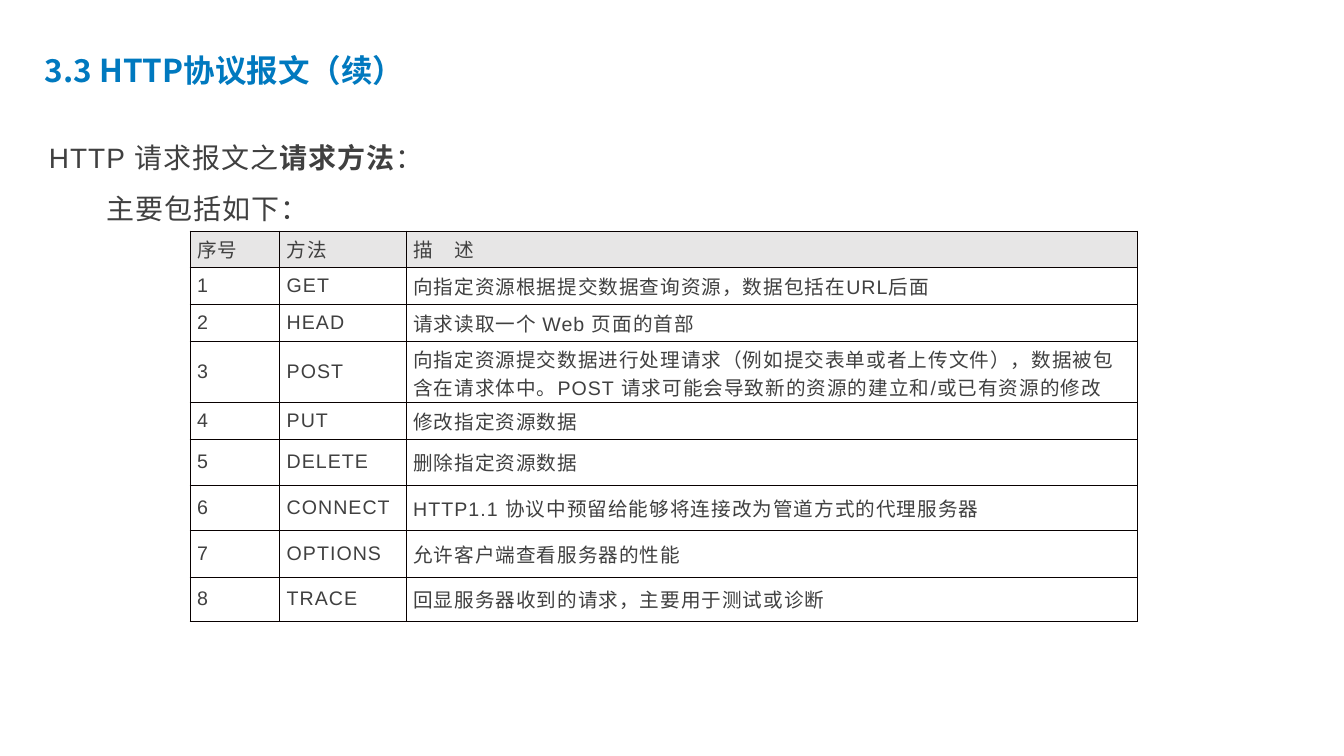
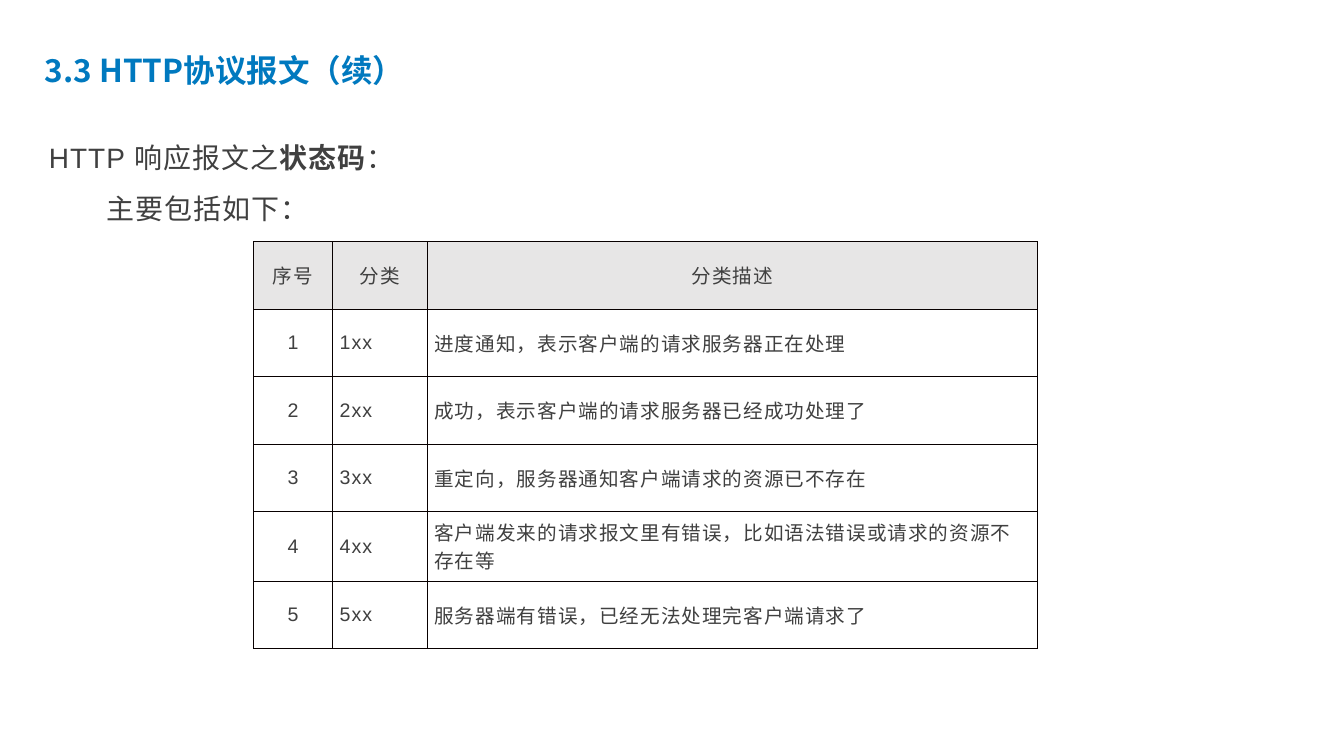
from lxml import etree
from pptx import Presentation
from pptx import util as u
from pptx.dml.color import RGBColor
from pptx.enum import text
from pptx.oxml import ns

# Shared look; lengths are px, 100 px to the inch
PX = 9144
SLIDE_SIZE = (2667, 1500)
COLORS = {
    "title": "0079BF",
    "body": "404040",
    "header": "E7E6E6",
    "cell": "FFFFFF",
    "border": "080000",
}
LATIN, CJK = "Arial", "Noto Sans CJK SC"
TITLE_BOX = (81, 81, 856, 105)
LEAD_BOX = (89, 238, 2039, 217)
LEAD_INDENT = 115
TEXT_INSETS = (8, 8, 8, 8)
LEFT, CENTER = text.PP_ALIGN.LEFT, text.PP_ALIGN.CENTER

# Content
TITLE = "3.3 HTTP协议报文（续）"
LEAD_END = "主要包括如下："
SLIDES = [
    {
        "lead": ("HTTP 请求报文之", "请求方法", "："),
        "origin": (377, 458),
        "columns": (178, 251, 1451),
        "row_heights": (73, 73, 73, 121, 73, 91, 91, 92, 87),
        "insets": (14, 7, 14, 7),
        "header_align": LEFT,
        "number_align": LEFT,
        "header": ("序号", "方法", "描　述"),
        "entries": [
            ("GET", "向指定资源根据提交数据查询资源，数据包括在URL后面"),
            ("HEAD", "请求读取一个 Web 页面的首部"),
            ("POST", "向指定资源提交数据进行处理请求（例如提交表单或者上传文件），"
                     "数据被包含在请求体中。POST 请求可能会导致新的资源的建立和/或已有资源的修改"),
            ("PUT", "修改指定资源数据"),
            ("DELETE", "删除指定资源数据"),
            ("CONNECT", "HTTP1.1 协议中预留给能够将连接改为管道方式的代理服务器"),
            ("OPTIONS", "允许客户端查看服务器的性能"),
            ("TRACE", "回显服务器收到的请求，主要用于测试或诊断"),
        ],
    },
    {
        "lead": ("HTTP 响应报文之", "状态码", "："),
        "origin": (503, 479),
        "columns": (157, 188, 1210),
        "row_heights": (134, 134, 134, 134, 138, 134),
        "insets": (14, 6, 14, 6),
        "header_align": CENTER,
        "number_align": CENTER,
        "header": ("序号", "分类", "分类描述"),
        "entries": [
            ("1xx", "进度通知，表示客户端的请求服务器正在处理"),
            ("2xx", "成功，表示客户端的请求服务器已经成功处理了"),
            ("3xx", "重定向，服务器通知客户端请求的资源已不存在"),
            ("4xx", "客户端发来的请求报文里有错误，比如语法错误或请求的资源不存在等"),
            ("5xx", "服务器端有错误，已经无法处理完客户端请求了"),
        ],
    },
]


def px(*lengths):
    return [u.Emu(length * PX) for length in lengths]


def set_insets(holder, insets):
    (holder.margin_left, holder.margin_top,
     holder.margin_right, holder.margin_bottom) = px(*insets)


def style_run(run, size, color, latin=LATIN, bold=False, spacing=0):
    font = run.font
    font.size, font.name, font.bold = u.Pt(size), latin, bold
    font.color.rgb = RGBColor.from_string(COLORS[color])
    properties = run._r.get_or_add_rPr()
    properties.set("spc", str(round(spacing * 100)))
    east_asian = etree.Element(ns.qn("a:ea"), typeface=CJK)
    properties.find(ns.qn("a:latin")).addnext(east_asian)


def add_title(slide):
    title = slide.shapes.title
    title.left, title.top, title.width, title.height = px(*TITLE_BOX)
    frame = title.text_frame
    frame.text = TITLE
    frame.auto_size = text.MSO_AUTO_SIZE.NONE
    frame.vertical_anchor = text.MSO_ANCHOR.BOTTOM
    set_insets(frame, TEXT_INSETS)
    heading = frame.paragraphs[0]
    heading.alignment, heading.line_spacing = LEFT, 0.9
    style_run(heading.runs[0], 45, "title", latin=CJK, bold=True)


def add_lead(slide, parts):
    frame = slide.shapes.add_textbox(*px(*LEAD_BOX)).text_frame
    frame.word_wrap = True
    frame.auto_size = text.MSO_AUTO_SIZE.SHAPE_TO_FIT_TEXT
    set_insets(frame, TEXT_INSETS)
    opening, ending = frame.paragraphs[0], frame.add_paragraph()
    for part in parts:
        opening.add_run().text = part
    ending.text = LEAD_END
    ending._p.get_or_add_pPr().set("indent", str(LEAD_INDENT * PX))
    for line in (opening, ending):
        line.alignment, line.line_spacing = text.PP_ALIGN.JUSTIFY, 1.5
        for run in line.runs:
            style_run(run, 40, "body", bold=run.text == parts[1], spacing=1.5)


def add_borders(cell):
    properties = cell._tc.get_or_add_tcPr()
    for side in ("lnL", "lnR", "lnT", "lnB"):
        line = etree.SubElement(properties, ns.qn(f"a:{side}"), w=str(u.Pt(1)))
        fill = etree.SubElement(line, ns.qn("a:solidFill"))
        etree.SubElement(fill, ns.qn("a:srgbClr"), val=COLORS["border"])


def fill_cell(cell, words, background, align, insets):
    add_borders(cell)
    cell.fill.solid()
    cell.fill.fore_color.rgb = RGBColor.from_string(COLORS[background])
    cell.vertical_anchor = text.MSO_ANCHOR.MIDDLE
    set_insets(cell, insets)
    cell.text_frame.text = words
    paragraph = cell.text_frame.paragraphs[0]
    paragraph.alignment = align
    style_run(paragraph.runs[0], 28, "body", spacing=1.5)


def add_listing(slide, content):
    numbered = [(str(number), *entry)
                for number, entry in enumerate(content["entries"], 1)]
    rows = [content["header"], *numbered]
    columns, heights = content["columns"], content["row_heights"]
    table = slide.shapes.add_table(
        len(rows), len(columns),
        *px(*content["origin"], sum(columns), sum(heights))).table
    table.first_row = table.horz_banding = False
    for column, width in zip(table.columns, px(*columns)):
        column.width = width
    for row, height in zip(table.rows, px(*heights)):
        row.height = height
    body_aligns = (content["number_align"], LEFT, LEFT)
    for r, row in enumerate(rows):
        for c, words in enumerate(row):
            align = body_aligns[c] if r else content["header_align"]
            fill_cell(table.cell(r, c), words, "cell" if r else "header",
                      align, content["insets"])


def main():
    deck = Presentation()
    deck.slide_width, deck.slide_height = px(*SLIDE_SIZE)
    title_only = deck.slide_layouts[5]
    for content in SLIDES:
        slide = deck.slides.add_slide(title_only)
        add_title(slide)
        add_lead(slide, content["lead"])
        add_listing(slide, content)
    deck.save("out.pptx")


if __name__ == "__main__":
    main()
